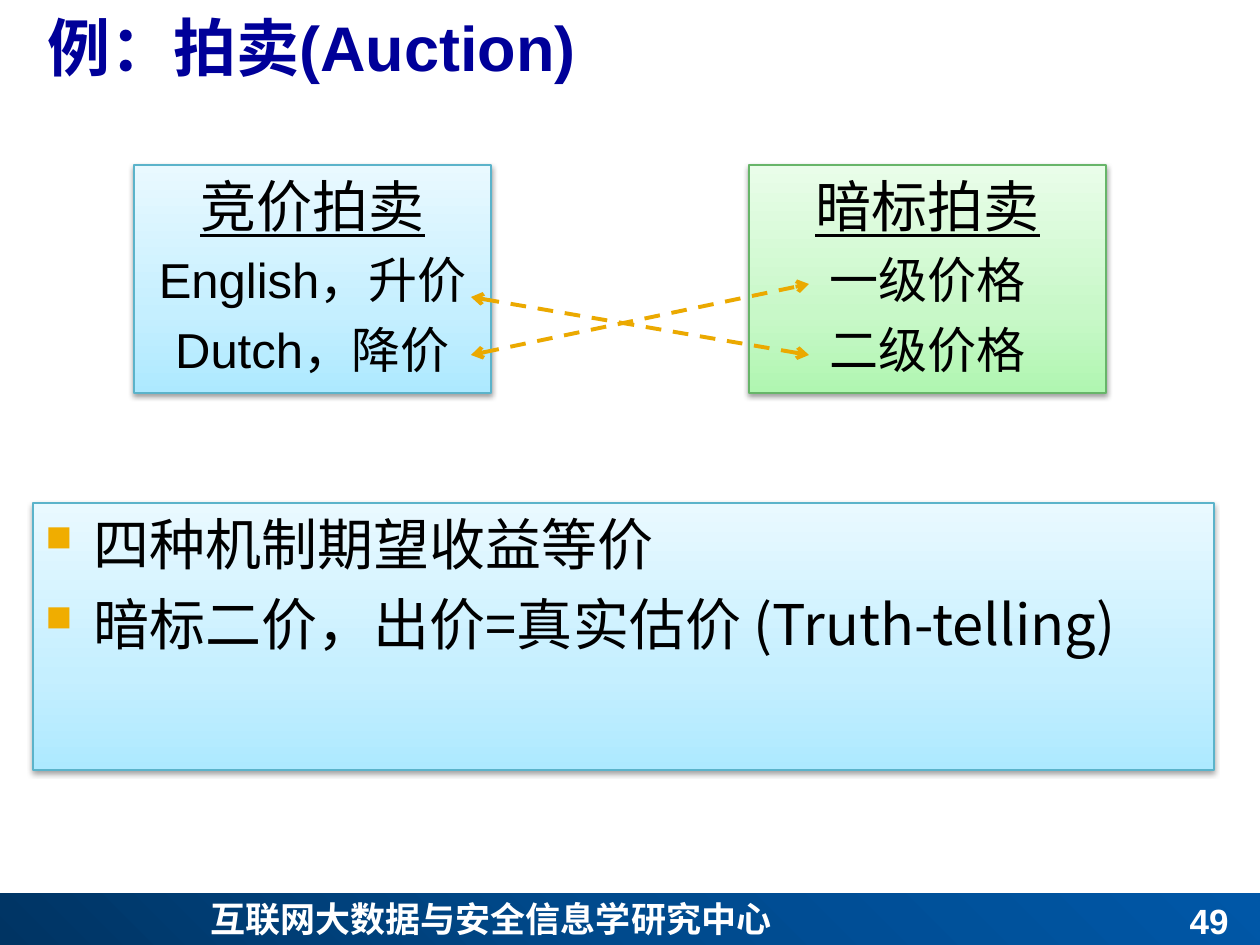
from lxml import etree
from pptx import Presentation
from pptx import oxml
from pptx import util as u
from pptx.dml.color import RGBColor
from pptx.enum import dml, shapes, text
from pptx.oxml import ns

PX = 914400 / 126
COLORS = {
    "title": "000099", "ink": "000000", "white": "FFFFFF",
    "arrow": "EBA900", "bullet": "F0AD00",
}
BLUE = {"stops": [(0, "ADE9FF"), (35, "C5EFFF"), (100, "E9F9FF")], "line": "5BB3CA"}
GREEN = {"stops": [(0, "B0F6B1"), (35, "C8F8C8"), (100, "E9FDE9")], "line": "67B569"}
BAND = [(0, "003463"), (50, "004A8D"), (100, "0057A7")]
LINEAR = '<a:lin ang="16200000" scaled="1"/>'
RADIAL = '<a:path path="circle"><a:fillToRect t="100000" r="100000"/></a:path>'
SHADOW = (
    '<a:outerShdw %s blurRad="39370" dist="20320" dir="5400000" rotWithShape="0">'
    '<a:srgbClr val="000000"><a:alpha val="38000"/></a:srgbClr></a:outerShdw>'
)


def px(length):
    """Turn px into EMU."""
    return u.Emu(round(length * PX))


def color(name):
    """Look up a named colour."""
    return RGBColor.from_string(COLORS[name])


def fill_gradient(shape, stops, direction):
    """Fill a shape with colour stops along a direction."""
    shape.fill.background()
    blank = shape._element.spPr.find(ns.qn("a:noFill"))
    marks = "".join(
        f'<a:gs pos="{place * 1000}"><a:srgbClr val="{value}"/></a:gs>'
        for place, value in stops
    )
    gradient = oxml.parse_xml(
        f'<a:gradFill {ns.nsdecls("a")} rotWithShape="1">'
        f"<a:gsLst>{marks}</a:gsLst>{direction}</a:gradFill>"
    )
    blank.getparent().replace(blank, gradient)


def write(shape, lines, ink, font="Arial", bold=False, align=None,
          anchor=text.MSO_ANCHOR.TOP):
    """Write (words, size, underlined) lines into a shape and return its paragraphs."""
    frame = shape.text_frame
    frame.word_wrap = True
    frame.vertical_anchor = anchor
    frame.text = "\n".join(words for words, _, _ in lines)
    for index, (para, (_, size, underlined)) in enumerate(zip(frame.paragraphs, lines)):
        para.alignment = align
        if index:
            para.space_before = u.Pt(round(size * 0.23, 1))
        for span in para.runs:
            span.font.name = font
            span.font.size = u.Pt(size)
            span.font.bold = bold
            span.font.underline = underlined
            span.font.color.rgb = color(ink)
    return frame.paragraphs


def add_label(page, box, words, size, ink, **style):
    """Add one bold line of text."""
    label = page.shapes.add_textbox(*map(px, box))
    write(label, [(words, size, False)], ink, bold=True, **style)


def add_panel(page, box, theme):
    """Add a gradient rectangle with an outline and a soft shadow."""
    panel = page.shapes.add_shape(shapes.MSO_SHAPE.RECTANGLE, *map(px, box))
    fill_gradient(panel, theme["stops"], LINEAR)
    panel.line.color.rgb = RGBColor.from_string(theme["line"])
    panel.line.width = u.Pt(0.75)
    panel.shadow.inherit = False
    effects = panel._element.spPr.find(ns.qn("a:effectLst"))
    effects.append(oxml.parse_xml(SHADOW % ns.nsdecls("a")))
    return panel


def add_footer(page, box, center, number):
    """Add the bottom band with the centre's name and the page number."""
    left, top, width, height = box
    band = page.shapes.add_shape(shapes.MSO_SHAPE.RECTANGLE, *map(px, box))
    fill_gradient(band, BAND, RADIAL)
    band.line.fill.background()
    band.shadow.inherit = False
    add_label(page, (left + 198, top - 2, 863, height), center, 20, "white",
              font="Noto Sans CJK SC", align=text.PP_ALIGN.JUSTIFY)
    add_label(page, (left + width - 312, top, 293, height), number, 20, "white",
              align=text.PP_ALIGN.RIGHT, anchor=text.MSO_ANCHOR.BOTTOM)


def add_auction(page, box, theme, heading, kinds):
    """Add a panel with an underlined heading over two auction kinds."""
    lines = [(heading, 32, True)] + [(kind, 28, False) for kind in kinds]
    write(add_panel(page, box, theme), lines, "ink", align=text.PP_ALIGN.CENTER)


def add_link(page, start, end):
    """Add a dashed double-headed arrow."""
    link = page.shapes.add_connector(
        shapes.MSO_CONNECTOR.STRAIGHT, *map(px, start + end))
    link.line.color.rgb = color("arrow")
    link.line.width = u.Pt(2.25)
    link.line.dash_style = dml.MSO_LINE.DASH
    for tip in ("a:headEnd", "a:tailEnd"):
        etree.SubElement(link.line._get_or_add_ln(), ns.qn(tip), type="arrow")
    etree.SubElement(link._element.spPr, ns.qn("a:effectLst"))


def add_comparison(page, box):
    """Add the two auction panels and the crossing links between them."""
    left, top, width, height = box
    side = 357
    add_auction(page, (left, top, side, height), BLUE,
                "竞价拍卖", ["English，升价", "Dutch，降价"])
    add_auction(page, (left + width - side, top, side, height), GREEN,
                "暗标拍卖", ["一级价格", "二级价格"])
    near, far = left + 337, left + 675
    add_link(page, (near, top + 132), (far, top + 190))
    add_link(page, (near, top + 190), (far, top + 119))


def add_findings(page, box, findings):
    """Add the panel of bulleted findings."""
    lines = [(finding, 32, False) for finding in findings]
    panel = add_panel(page, box, BLUE)
    for para in write(panel, lines, "ink", font="Noto Sans CJK SC",
                      align=text.PP_ALIGN.LEFT):
        layout = para._p.get_or_add_pPr()
        layout.set("marL", str(px(48)))
        layout.set("indent", str(-px(48)))
        tint = etree.SubElement(layout, ns.qn("a:buClr"))
        etree.SubElement(tint, ns.qn("a:srgbClr"), val=COLORS["bullet"])
        etree.SubElement(layout, ns.qn("a:buSzPct"), val="65000")
        etree.SubElement(layout, ns.qn("a:buChar"), char="■")


def main():
    """Build the auction slide."""
    deck = Presentation()
    deck.slide_width, deck.slide_height = px(1260), px(945)
    page = deck.slides.add_slide(deck.slide_layouts[6])
    add_footer(page, (0, 893, 1260, 55), "互联网大数据与安全信息学研究中心", "49")
    add_label(page, (35, -4, 1225, 100), "例：拍卖(Auction)", 36, "title",
              anchor=text.MSO_ANCHOR.MIDDLE)
    add_comparison(page, (134, 165, 972, 228))
    add_findings(page, (33, 503, 1181, 267),
                 ["四种机制期望收益等价", "暗标二价，出价=真实估价 (Truth-telling)"])
    deck.save("out.pptx")


if __name__ == "__main__":
    main()
